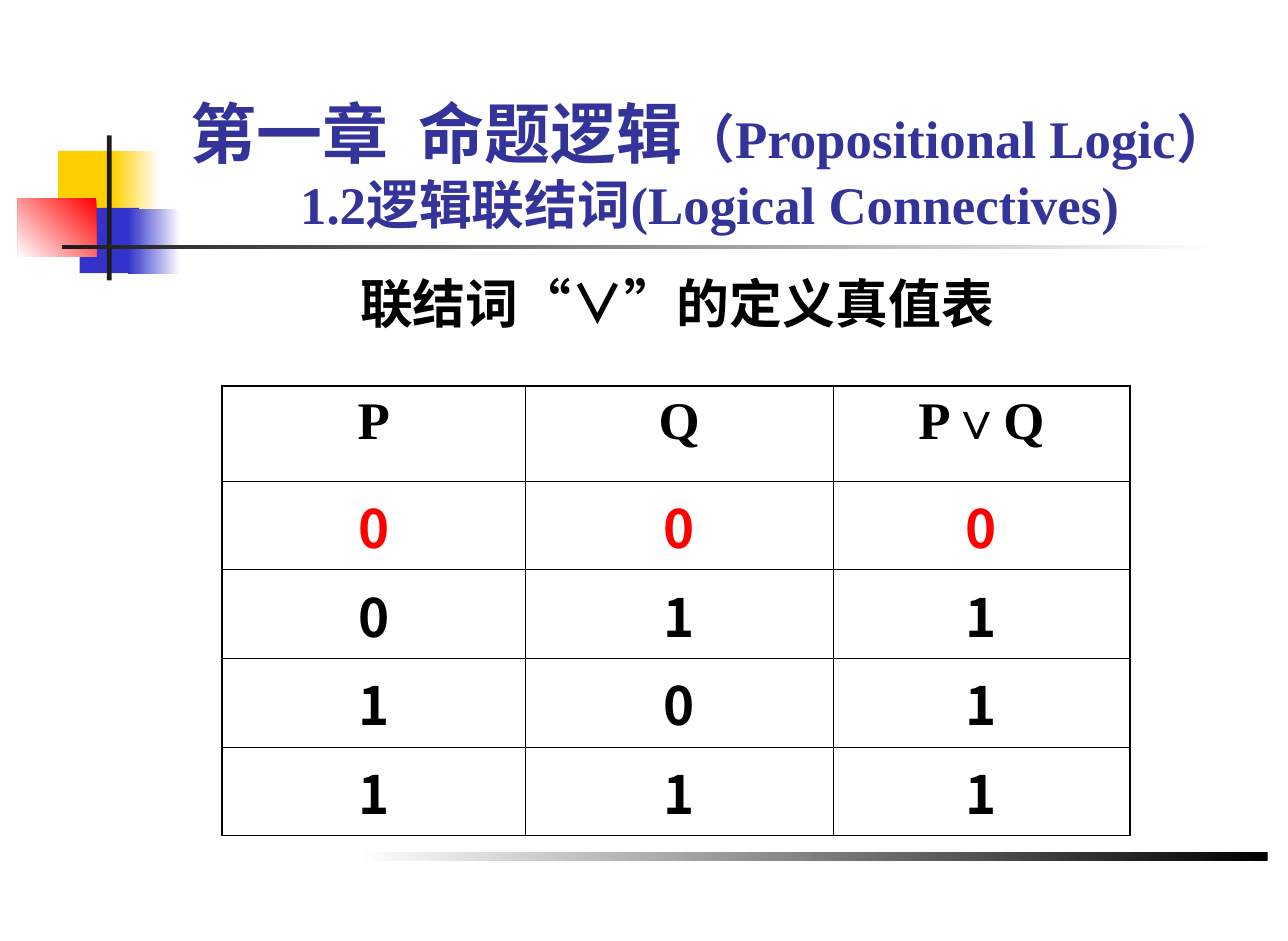
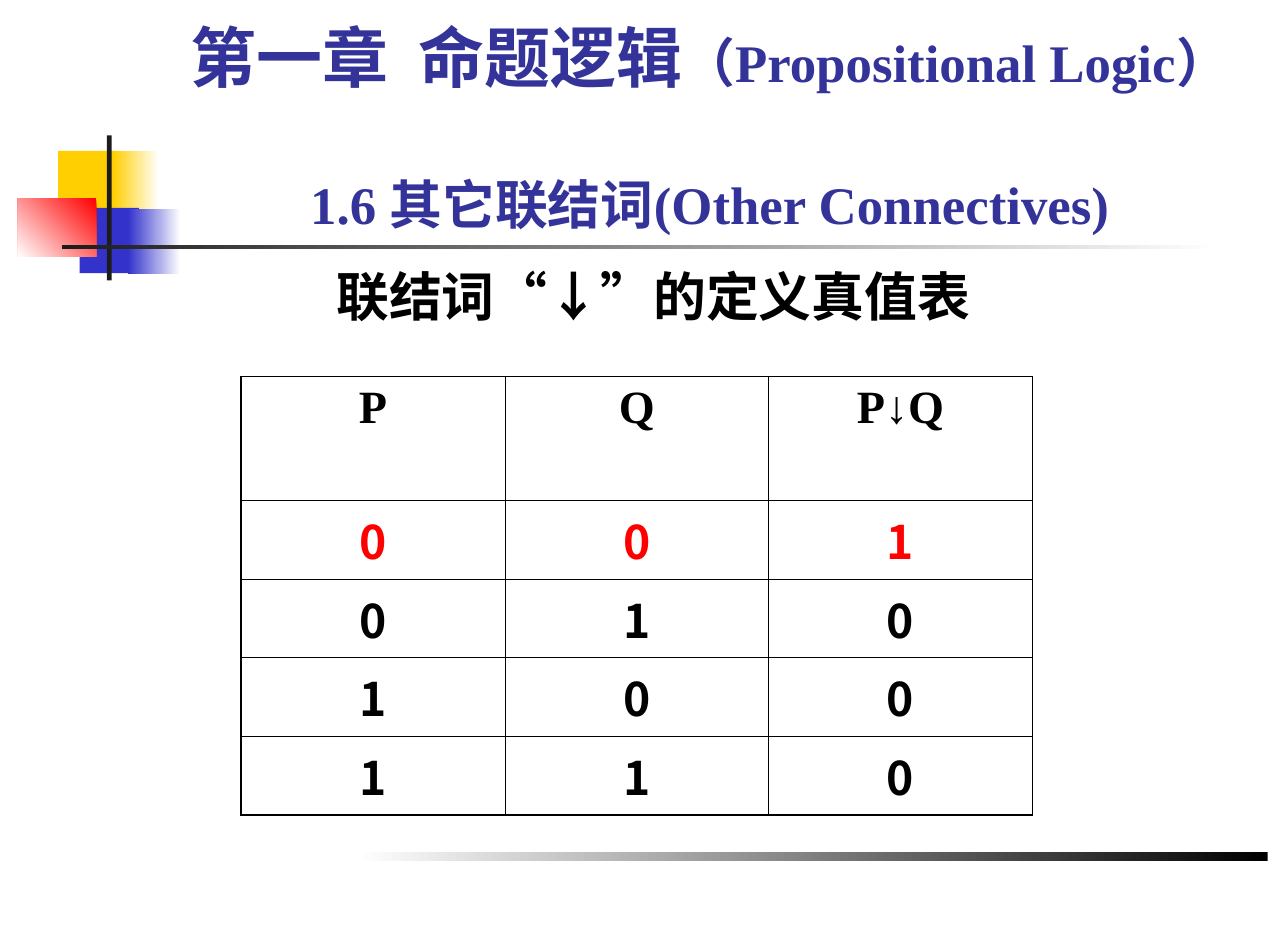
from lxml.etree import SubElement
from pptx import Presentation
from pptx.dml.color import RGBColor
from pptx.enum.shapes import MSO_SHAPE
from pptx.enum.text import MSO_ANCHOR, MSO_AUTO_SIZE, PP_ALIGN
from pptx.oxml import parse_xml
from pptx.oxml.ns import nsdecls, qn
from pptx.util import Inches, Pt

WHITE = RGBColor(0xFF, 0xFF, 0xFF)
BLACK = RGBColor(0, 0, 0)
RED = RGBColor(0xFF, 0, 0)
YELLOW = RGBColor(0xFF, 0xCF, 0x01)
BLUE = RGBColor(0x33, 0x33, 0xCC)
CHARCOAL = RGBColor(0x1C, 0x1C, 0x1C)
TITLE_BLUE = RGBColor(0x33, 0x33, 0x99)

SERIF, HEADING, SANS, CJK = "Times New Roman", "Cabin", "Arial", "Noto Sans CJK SC"
INSET = 0.1
OUTER_LINE, INNER_LINE = Pt(1.08), Pt(0.45)
TITLE_BOX = (1.36, 0.71, 9.23, 1.32)

# Box, colours (two make a gradient), counter-clockwise gradient angle
DECORATIONS = [
    ((0.49, 1.27, 0.52, 0.55), [YELLOW], 0),
    ((0.95, 1.27, 0.39, 0.55), [WHITE, YELLOW], 180),
    ((0.67, 1.75, 0.5, 0.55), [BLUE], 0),
    ((1.08, 1.76, 0.44, 0.55), [WHITE, BLUE], 180),
    ((0.15, 1.67, 0.66, 0.49), [RED, WHITE], 225),
    ((0.9, 1.14, 0.04, 1.22), [CHARCOAL], 0),
    ((0.52, 2.06, 9.75, 0.04), [WHITE, CHARCOAL], 180),
    ((3, 7.17, 7.67, 0.08), [BLACK, WHITE], 180),
]

CHAPTER, CHAPTER_ENGLISH = "第一章  命题逻辑", "（Propositional Logic）"

SLIDES = [
    {
        "chapter_font": HEADING,
        "section": "1.2逻辑联结词(Logical Connectives)",
        "section_gap": 0,
        "body_box": (1.16, 2.23, 8.9, 0.85),
        "caption": "联结词“∨”的定义真值表",
        "caption_left": 3.03,
        "table_at": (1.87, 3.25),
        "columns": [2.55, 2.59, 2.5],
        "rows": [0.8] + [0.74] * 4,
        "size": 32,
        "connective": ("∨", SANS),
        "results": "0111",
    },
    {
        "chapter_font": SERIF,
        "section": "1.6 其它联结词(Other Connectives)",
        "section_gap": 46,
        "body_box": (1.4, 2.17, 9.21, 5.5),
        "caption": "联结词“↓”的定义真值表",
        "caption_left": 2.83,
        "table_at": (2.03, 3.17),
        "columns": [2.22] * 3,
        "rows": [1.04] + [0.66] * 4,
        "size": 28,
        "connective": ("↓", SERIF),
        "results": "1000",
    },
]


def place(shape, box):
    shape.left, shape.top, shape.width, shape.height = map(Inches, box)


def add_text(paragraph, text, size, color=BLACK, font=SERIF, east_asian=CJK):
    run = paragraph.add_run()
    run.text = text
    run.font.size = Pt(size)
    run.font.bold = True
    run.font.color.rgb = color
    run.font.name = font
    SubElement(run.font._element, qn("a:ea")).set("typeface", east_asian)


def decorate_layout(layout, slide):
    """Draw the shared ornaments and move them to the layout."""
    for number, (box, colors, angle) in enumerate(DECORATIONS, start=20):
        shape = slide.shapes.add_shape(MSO_SHAPE.RECTANGLE, *map(Inches, box))
        shape.shadow.inherit = False
        shape.line.fill.background()
        if len(colors) == 1:
            shape.fill.solid()
            shape.fill.fore_color.rgb = colors[0]
        else:
            shape.fill.gradient()
            shape.fill.gradient_angle = angle
            for stop, color in zip(shape.fill.gradient_stops, colors):
                stop.color.rgb = color
        shape.element.nvSpPr.cNvPr.set("id", str(number))
        layout.shapes.element.append(shape.element)


def fill_title(title, content):
    frame = title.text_frame
    frame.auto_size = MSO_AUTO_SIZE.NONE
    frame.vertical_anchor = MSO_ANCHOR.BOTTOM
    chapter, section = frame.paragraphs[0], frame.add_paragraph()
    add_text(chapter, CHAPTER, 40, TITLE_BLUE, content["chapter_font"])
    add_text(chapter, CHAPTER_ENGLISH, 32, TITLE_BLUE)
    add_text(section, content["section"], 32, TITLE_BLUE)
    section.space_before = Pt(content["section_gap"])
    for paragraph in (chapter, section):
        paragraph.alignment = PP_ALIGN.CENTER


def fill_caption(body, content):
    place(body, content["body_box"])
    body.text_frame.auto_size = MSO_AUTO_SIZE.NONE
    paragraph = body.text_frame.paragraphs[0]
    properties = paragraph._p.get_or_add_pPr()
    indent = content["caption_left"] - content["body_box"][0] - INSET
    properties.set("marL", str(Inches(indent)))
    properties.set("indent", "0")
    SubElement(properties, qn("a:buNone"))
    paragraph.space_before = Pt(0)
    paragraph.alignment = PP_ALIGN.LEFT
    add_text(paragraph, content["caption"], 32)


def set_borders(cell, outer_sides):
    properties = cell._tc.get_or_add_tcPr()
    for position, side in enumerate("LRTB"):
        width = OUTER_LINE if side in outer_sides else INNER_LINE
        properties.insert(position, parse_xml(
            f'<a:ln{side} {nsdecls("a")} w="{width}"><a:solidFill>'
            f'<a:srgbClr val="{BLACK}"/></a:solidFill></a:ln{side}>'))


def add_truth_table(slide, content):
    columns, rows, size = content["columns"], content["rows"], content["size"]
    box = (*content["table_at"], sum(columns), sum(rows))
    table = slide.shapes.add_table(len(rows), len(columns), *map(Inches, box)).table
    table.first_row = table.horz_banding = False
    for column, width in zip(table.columns, columns):
        column.width = Inches(width)
    for row, height in zip(table.rows, rows):
        row.height = Inches(height)

    symbol, symbol_font = content["connective"]
    header = [["P"], ["Q"], ["P", symbol, "Q"]]
    values = [[*f"{index:02b}", result] for index, result in enumerate(content["results"])]
    for row_index, row in enumerate([header, *values]):
        for column_index, texts in enumerate(row):
            cell = table.cell(row_index, column_index)
            cell.fill.background()
            edges = {"L": column_index == 0, "R": column_index == len(columns) - 1,
                     "T": row_index == 0, "B": row_index == len(rows) - 1}
            set_borders(cell, [side for side, is_outer in edges.items() if is_outer])
            paragraph = cell.text_frame.paragraphs[0]
            paragraph.alignment = PP_ALIGN.CENTER
            for text in texts:
                if row_index == 0:
                    font = symbol_font if text == symbol else SERIF
                    add_text(paragraph, text, size, font=font, east_asian=font)
                else:
                    add_text(paragraph, text, size, RED if row_index == 1 else BLACK, CJK)


def main():
    presentation = Presentation()
    presentation.slide_width, presentation.slide_height = Inches(10.84), Inches(7.92)
    layout = presentation.slide_layouts[1]
    place(layout.placeholders[0], TITLE_BOX)
    for index, content in enumerate(SLIDES):
        slide = presentation.slides.add_slide(layout)
        if index == 0:
            decorate_layout(layout, slide)
        fill_title(slide.shapes.title, content)
        fill_caption(slide.placeholders[1], content)
        add_truth_table(slide, content)
    presentation.save("out.pptx")


if __name__ == "__main__":
    main()
